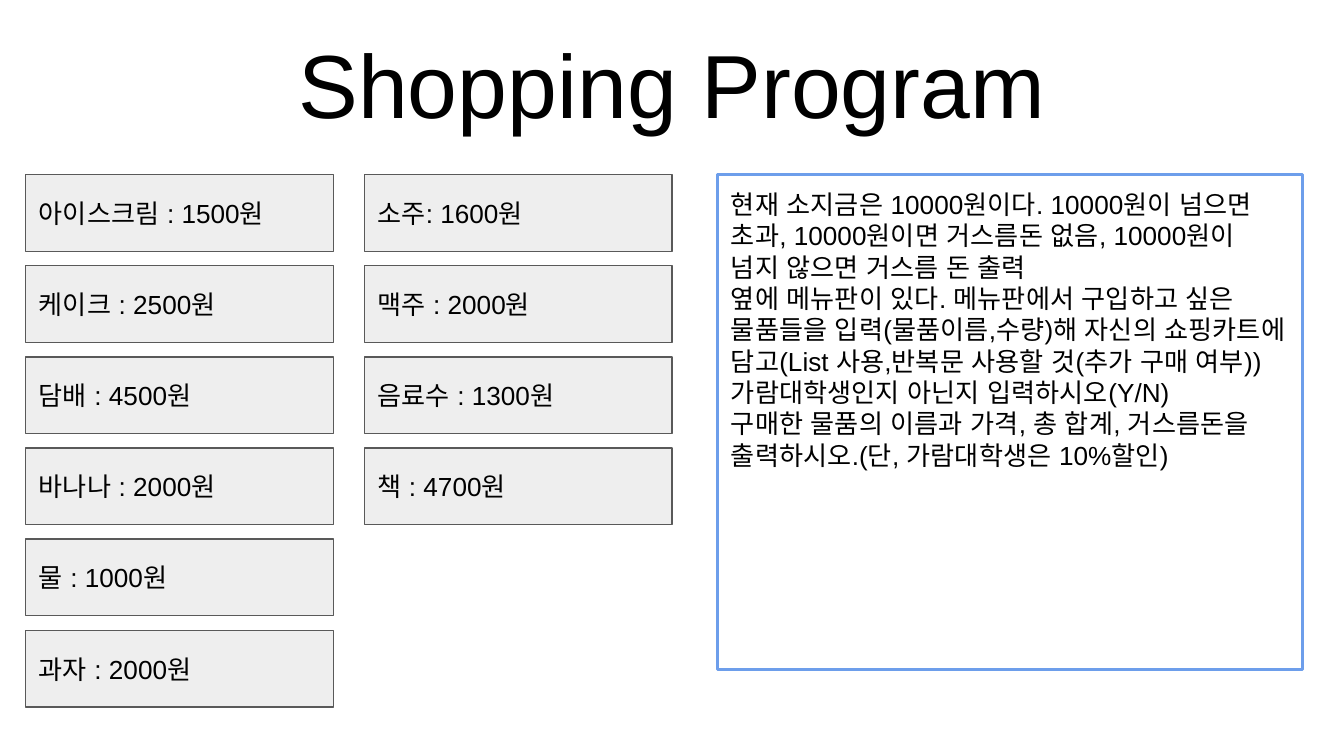
"""Build the Shopping Program slide with its price list and task description."""
from lxml.etree import SubElement
from pptx import Presentation
from pptx.dml.color import RGBColor
from pptx.enum.shapes import MSO_SHAPE as Shape
from pptx.enum.text import MSO_ANCHOR as Anchor, MSO_AUTO_SIZE as AutoSize, PP_ALIGN as Align
from pptx.oxml.ns import qn
from pptx.util import Inches, Pt


def color(value):
    return RGBColor.from_string(value)


def write(shape, lines, size, anchor, align=Align.LEFT):
    frame = shape.text_frame
    frame.word_wrap = True
    frame.auto_size = AutoSize.NONE
    frame.vertical_anchor = anchor
    frame.margin_left = frame.margin_right = Inches(0.1)
    frame.margin_top = frame.margin_bottom = Inches(0.1)
    for index, line in enumerate(lines):
        para = frame.add_paragraph() if index else frame.paragraphs[0]
        para.alignment = align
        span = para.add_run()
        span.text = line
        span.font.size = Pt(size)
        span.font.color.rgb = color("000000")
        span.font.name = "Arial"
        SubElement(span.font._element, qn("a:ea")).set("typeface", "Arial")


deck = Presentation()
deck.slide_width = Inches(10)
deck.slide_height = Inches(10) * 9 // 16
page = deck.slides.add_slide(deck.slide_layouts[5])

title = page.shapes.title
title.left, title.top = Inches(0), Inches(0)
title.width, title.height = Inches(10), Inches(1.23)
write(title, ["Shopping Program"], 48, Anchor.MIDDLE, Align.CENTER)

menu_columns = [
    ["아이스크림 : 1500원", "케이크 : 2500원", "담배 : 4500원",
     "바나나 : 2000원", "물 : 1000원", "과자 : 2000원"],
    ["소주: 1600원", "맥주 : 2000원", "음료수 : 1300원", "책 : 4700원"],
]
row_pitch = (4.69 - 1.3) / 5
for column, items in enumerate(menu_columns):
    for row, item in enumerate(items):
        box = page.shapes.add_shape(
            Shape.RECTANGLE, Inches(0.19 + 2.52 * column), Inches(1.3 + row_pitch * row),
            Inches(2.29), Inches(0.57))
        box.shadow.inherit = False
        box.fill.solid()
        box.fill.fore_color.rgb = color("EEEEEE")
        box.line.color.rgb = color("595959")
        box.line.width = Pt(0.75)
        write(box, [item], 14, Anchor.MIDDLE)

task_lines = [
    "현재 소지금은 10000원이다. 10000원이 넘으면 초과, 10000원이면 거스름돈 없음, "
    "10000원이 넘지 않으면 거스름 돈 출력",
    "옆에 메뉴판이 있다. 메뉴판에서 구입하고 싶은 물품들을 입력(물품이름,수량)해 자신의 "
    "쇼핑카트에 담고(List 사용,반복문 사용할 것(추가 구매 여부))",
    "가람대학생인지 아닌지 입력하시오(Y/N)",
    "구매한 물품의 이름과 가격, 총 합계, 거스름돈을 출력하시오.(단, 가람대학생은 10%할인)",
]
task = page.shapes.add_shape(
    Shape.RECTANGLE, Inches(5.34), Inches(1.3), Inches(4.35), Inches(3.68))
task.shadow.inherit = False
task.fill.background()
task.line.color.rgb = color("6D9EEB")
task.line.width = Pt(1.5)
write(task, task_lines, 14, Anchor.TOP)

deck.save("out.pptx")
